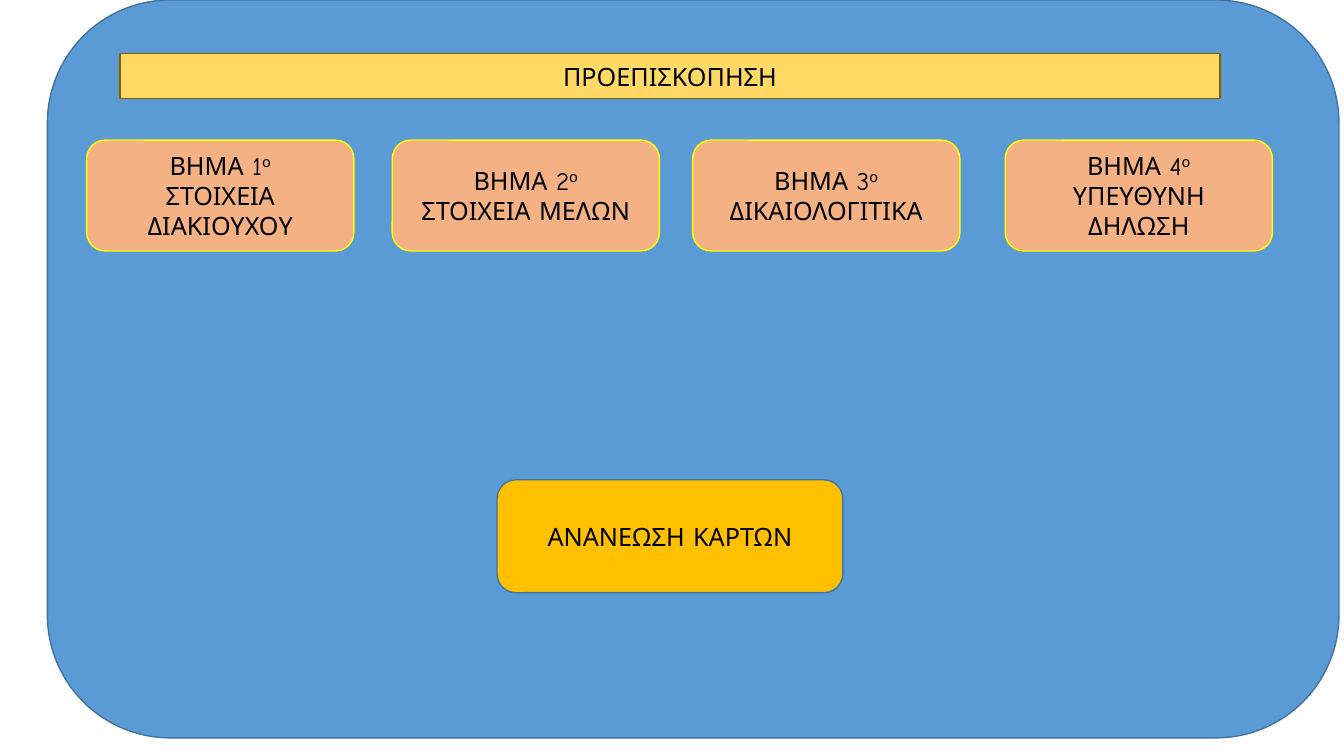
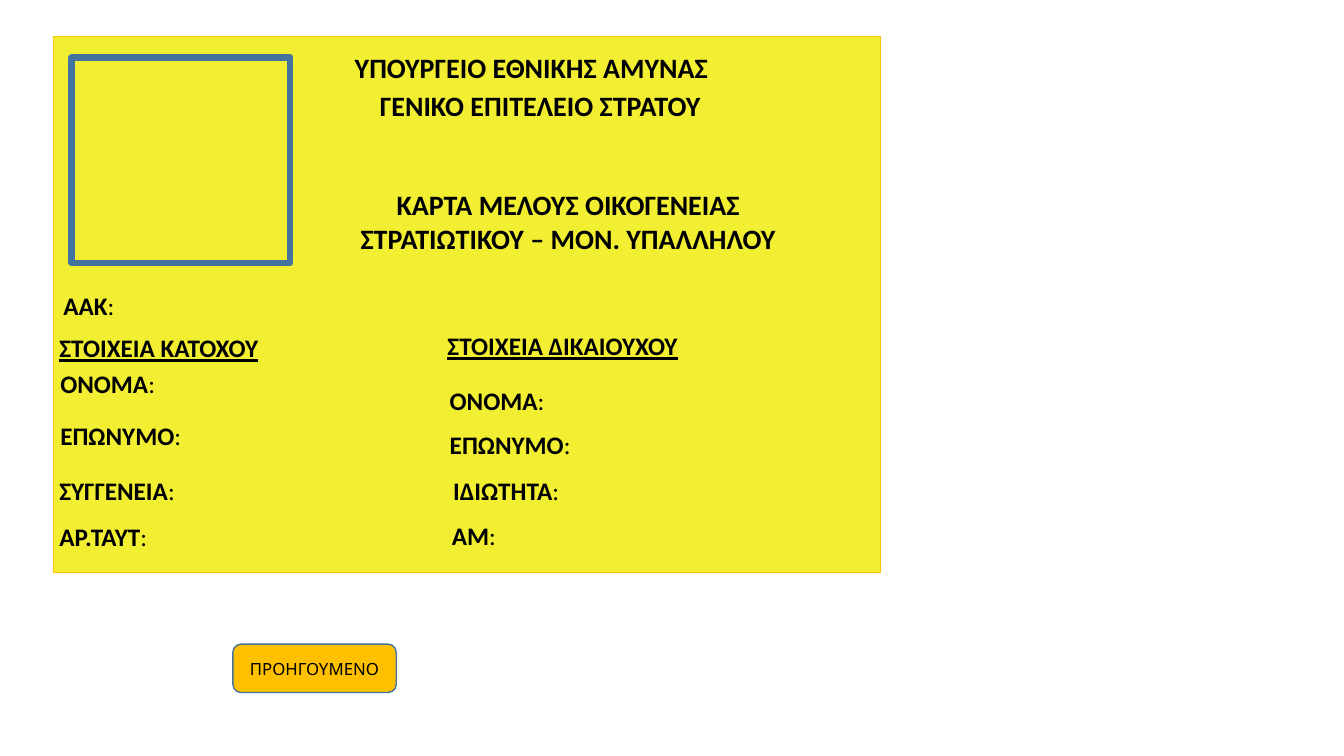
from pptx import Presentation
from pptx.dml.color import RGBColor
from pptx.enum import shapes, text
from pptx.util import Inches, Pt

BLACK = RGBColor(0x00, 0x00, 0x00)
BLUE = RGBColor(0x5B, 0x9B, 0xD5)
DARK_BLUE = RGBColor(0x43, 0x73, 0x9E)
SAND = RGBColor(0xFF, 0xD9, 0x66)
BROWN = RGBColor(0x80, 0x60, 0x00)
PEACH = RGBColor(0xF4, 0xB1, 0x83)
BRIGHT_YELLOW = RGBColor(0xFF, 0xFF, 0x00)
AMBER = RGBColor(0xFF, 0xC0, 0x00)
CARD_YELLOW = RGBColor(0xF2, 0xEE, 0x32)

BUTTON_FONT = "Comic Neue"
CARD_FONT = "Calibri"
RECT = shapes.MSO_SHAPE.RECTANGLE
ROUNDED = shapes.MSO_SHAPE.ROUNDED_RECTANGLE
LEFT, CENTER = text.PP_ALIGN.LEFT, text.PP_ALIGN.CENTER
BLANK_LAYOUT = 6

# Left edge, number and caption of each step
STEPS = [
    (0.39, "1", "ΣΤΟΙΧΕΙΑ ΔΙΑΚΙΟΥΧΟΥ"),
    (3.42, "2", "ΣΤΟΙΧΕΙΑ ΜΕΛΩΝ"),
    (6.4, "3", "ΔΙΚΑΙΟΛΟΓΙΤΙΚΑ"),
    (9.5, "4", "ΥΠΕΥΘΥΝΗ ΔΗΛΩΣΗ"),
]

# Left, top, width (from the card's corner), alignment and wording
CARD_TITLES = [
    (2.89, 0.09, 4.43, LEFT, "ΥΠΟΥΡΓΕΙΟ ΕΘΝΙΚΗΣ ΑΜΥΝΑΣ"),
    (3.14, 0.47, 3.53, LEFT, "ΓΕΝΙΚΟ ΕΠΙΤΕΛΕΙΟ ΣΤΡΑΤΟΥ"),
    (2.79, 1.45, 4.63, CENTER,
     "ΚΑΡΤΑ ΜΕΛΟΥΣ ΟΙΚΟΓΕΝΕΙΑΣ ΣΤΡΑΤΙΩΤΙΚΟΥ – ΜΟΝ. ΥΠΑΛΛΗΛΟΥ"),
]
CARD_HEADINGS = [
    (-0.05, 2.89, 2.19, CENTER, "ΣΤΟΙΧΕΙΑ ΚΑΤΟΧΟΥ"),
    (3.67, 2.87, 2.76, CENTER, "ΣΤΟΙΧΕΙΑ ΔΙΚΑΙΟΥΧΟΥ"),
]
CARD_FIELDS = [
    (0, 2.47, 1.24, LEFT, "ΑΑΚ"),
    (-0.03, 3.24, 1.24, LEFT, "ΟΝΟΜΑ"),
    (-0.03, 3.76, 1.46, LEFT, "ΕΠΩΝΥΜΟ"),
    (-0.04, 4.31, 1.47, LEFT, "ΣΥΓΓΕΝΕΙΑ"),
    (-0.04, 4.76, 1.24, LEFT, "ΑΡ.ΤΑΥΤ"),
    (3.78, 3.41, 1.24, CENTER, "ΟΝΟΜΑ"),
    (3.82, 3.85, 1.42, CENTER, "ΕΠΩΝΥΜΟ"),
    (3.78, 4.31, 1.42, CENTER, "ΙΔΙΩΤΗΤΑ"),
    (3.64, 4.75, 1.06, CENTER, "ΑΜ"),
]


def format_paragraph(p, font, size, align):
    p.alignment = align
    p.font.name = font
    p.font.size = Pt(size)
    p.font.color.rgb = BLACK


def add_box(slide, kind, x, y, w, h, fill, line, weight=1):
    """Add a preset shape; a fill of None leaves it hollow."""
    sp = slide.shapes.add_shape(kind, Inches(x), Inches(y), Inches(w), Inches(h))
    sp.shadow.inherit = False
    if fill is None:
        sp.fill.background()
    else:
        sp.fill.solid()
        sp.fill.fore_color.rgb = fill
    sp.line.color.rgb = line
    sp.line.width = Pt(weight)
    return sp


def add_button(slide, kind, x, y, w, h, fill, line, label, size=18):
    sp = add_box(slide, kind, x, y, w, h, fill, line)
    tf = sp.text_frame
    tf.vertical_anchor = text.MSO_ANCHOR.MIDDLE
    p = tf.paragraphs[0]
    format_paragraph(p, BUTTON_FONT, size, CENTER)
    p.add_run().text = label
    return sp


def add_step(slide, x, y, number, caption):
    sp = add_button(slide, ROUNDED, x, y, 2.65, 1.1, PEACH, BRIGHT_YELLOW,
                    f"ΒΗΜΑ {number}")
    tf = sp.text_frame
    ordinal = tf.paragraphs[0].add_run()
    ordinal.text = "ο"
    ordinal._r.get_or_add_rPr().set("baseline", "30000")
    p = tf.add_paragraph()
    format_paragraph(p, BUTTON_FONT, 18, CENTER)
    p.add_run().text = caption


def add_label(slide, x, y, w, align, label, size=18, lines=1):
    """Add a bold line of card text and return its paragraph."""
    h = size / 72 * 1.2 * lines + 0.1
    tf = slide.shapes.add_textbox(Inches(x), Inches(y), Inches(w), Inches(h)).text_frame
    tf.word_wrap = True
    tf.auto_size = text.MSO_AUTO_SIZE.SHAPE_TO_FIT_TEXT
    p = tf.paragraphs[0]
    format_paragraph(p, CARD_FONT, size, align)
    r = p.add_run()
    r.text = label
    r.font.bold = True
    return p


def add_steps_panel(slide, x, y, w, h):
    add_box(slide, ROUNDED, x, y, w, h, BLUE, DARK_BLUE)
    add_button(slide, RECT, x + 0.72, y + 0.53, 10.91, 0.45, SAND, BROWN,
               "ΠΡΟΕΠΙΣΚΟΠΗΣΗ")
    for left, number, caption in STEPS:
        add_step(slide, x + left, y + 1.39, number, caption)
    add_button(slide, ROUNDED, x + 4.46, y + 4.76, 3.43, 1.12, AMBER, DARK_BLUE,
               "ΑΝΑΝΕΩΣΗ ΚΑΡΤΩΝ")


def add_member_card(slide, x, y, w, h):
    add_box(slide, RECT, x, y, w, h, CARD_YELLOW, AMBER, 0.5)
    add_box(slide, RECT, x + 0.18, y + 0.21, 2.17, 2.04, None, DARK_BLUE, 4.5)
    for left, top, width, align, label in CARD_TITLES:
        add_label(slide, x + left, y + top, width, align, label, 20,
                  2 if align == CENTER else 1)
    for left, top, width, align, label in CARD_HEADINGS:
        p = add_label(slide, x + left, y + top, width, align, label)
        p.runs[0].font.underline = True
    for left, top, width, align, label in CARD_FIELDS:
        p = add_label(slide, x + left, y + top, width, align, label)
        p.add_run().text = ":"


def main():
    prs = Presentation()
    prs.slide_width, prs.slide_height = Inches(13.33), Inches(7.5)
    blank = prs.slide_layouts[BLANK_LAYOUT]

    add_steps_panel(prs.slides.add_slide(blank), 0.47, 0, 12.81, 7.32)

    preview = prs.slides.add_slide(blank)
    add_member_card(preview, 0.53, 0.36, 8.2, 5.32)
    add_button(preview, ROUNDED, 2.31, 6.39, 1.62, 0.48, AMBER, DARK_BLUE,
               "ΠΡΟΗΓΟΥΜΕΝΟ", 12)

    prs.save("out.pptx")


if __name__ == "__main__":
    main()
